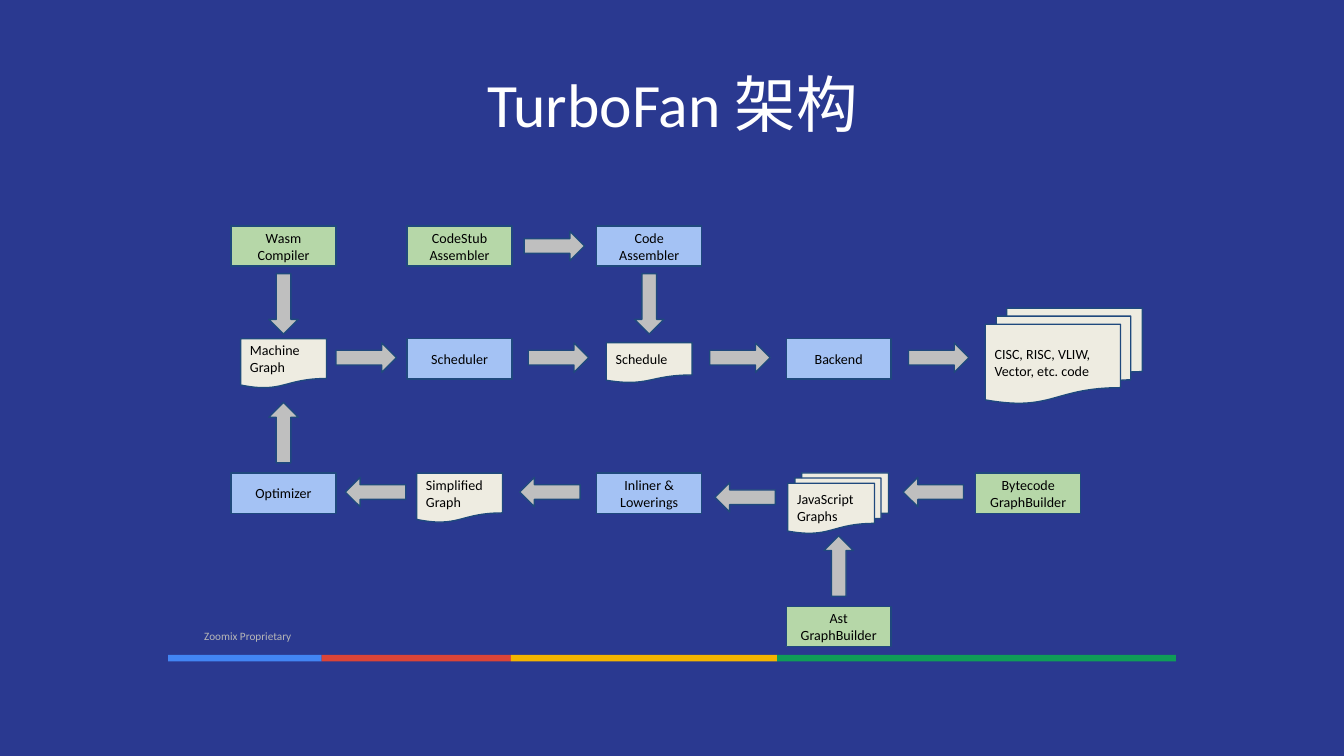
from dataclasses import dataclass

from pptx import Presentation
from pptx.dml.color import RGBColor
from pptx.enum.shapes import MSO_SHAPE as Shape
from pptx.enum.text import MSO_ANCHOR as Anchor, PP_ALIGN as Align
from pptx.util import Pt

NAVY = RGBColor(0x2A, 0x39, 0x90)
WHITE = RGBColor(0xFF, 0xFF, 0xFF)
BLACK = RGBColor(0x00, 0x00, 0x00)
MUTED = RGBColor(0xB7, 0xB7, 0xB7)
OUTLINE = RGBColor(0x1F, 0x49, 0x7D)
ARROW_GREY = RGBColor(0xBF, 0xBF, 0xBF)
STAGE_BLUE = RGBColor(0xA4, 0xC2, 0xF4)
SOURCE_GREEN = RGBColor(0xB6, 0xD7, 0xA8)
PAPER = RGBColor(0xEE, 0xEC, 0xE1)
STRIPE_BLUE = RGBColor(0x42, 0x85, 0xF4)
STRIPE_RED = RGBColor(0xDB, 0x44, 0x37)
STRIPE_YELLOW = RGBColor(0xF4, 0xB4, 0x00)
STRIPE_GREEN = RGBColor(0x0F, 0x9D, 0x58)

FONT = "Calibri"
INSET = 5
STAGE_SIZE = (56.2, 21.6)
ARROW_SIZE = (32.4, 15.8)
RIGHT, DOWN, LEFT, UP = 0, 90, 180, 270

# Centres of the flow grid, measured from the corner of the flow box
COLUMNS = (27.9, 122.2, 223.8, 325.3, 426.8)
ROWS = (10.8, 71.2, 143.2, 214.6)

# column, row, fill, lines of text
STAGES = (
    (0, 0, SOURCE_GREEN, ("Wasm", "Compiler")),
    (1, 0, SOURCE_GREEN, ("CodeStub", "Assembler")),
    (2, 0, STAGE_BLUE, ("Code", "Assembler")),
    (1, 1, STAGE_BLUE, ("Scheduler",)),
    (3, 1, STAGE_BLUE, ("Backend",)),
    (0, 2, STAGE_BLUE, ("Optimizer",)),
    (2, 2, STAGE_BLUE, ("Inliner &", "Lowerings")),
    (4, 2, SOURCE_GREEN, ("Bytecode", "GraphBuilder")),
    (3, 3, SOURCE_GREEN, ("Ast", "GraphBuilder")),
)

# kind, centre x, centre y, width, height, lines of text
DOCUMENTS = (
    (Shape.FLOWCHART_DOCUMENT, COLUMNS[0], 73.8, 46, 26.6, ("Machine", "Graph")),
    (Shape.FLOWCHART_DOCUMENT, COLUMNS[2], 73.4, 46, 21.6, ("Schedule",)),
    (Shape.FLOWCHART_DOCUMENT, COLUMNS[1], 145.8, 46, 26.6, ("Simplified", "Graph")),
    (Shape.FLOWCHART_MULTIDOCUMENT, 325, 148.6, 54, 32.4, ("JavaScript", "Graphs")),
    (Shape.FLOWCHART_MULTIDOCUMENT, 445.9, 69.6, 84.2, 51.1,
     ("CISC, RISC, VLIW,", "Vector, etc. code")),
)

# direction, centre x, centre y
ARROWS = (
    (RIGHT, 173, ROWS[0]),
    *((RIGHT, x, 70.6) for x in (72.2, 175.2, 272.4, 378.9)),
    *((LEFT, x, 142.6) for x in (77.2, 170.6, 376)),
    (LEFT, 275.2, 145.4),
    (DOWN, COLUMNS[0], 41.8),
    (DOWN, COLUMNS[2], 41.8),
    (UP, COLUMNS[0], 110.8),
    (UP, COLUMNS[3], 182.2),
)

# fill, width
STRIPES = ((STRIPE_BLUE, 82.3), (STRIPE_RED, 101.4),
           (STRIPE_YELLOW, 142.6), (STRIPE_GREEN, 213.7))


@dataclass
class Box:
    left: float
    top: float
    width: float
    height: float

    def lengths(self):
        return [Pt(v) for v in (self.left, self.top, self.width, self.height)]

    def centred(self, x, y, width, height):
        """Box of the given size whose centre is x, y from this corner."""
        return Box(self.left + x - width / 2, self.top + y - height / 2, width, height)


def write(shape, lines, size, color, align=Align.LEFT, anchor=Anchor.TOP):
    frame = shape.text_frame
    frame.word_wrap = True
    frame.vertical_anchor = anchor
    frame.margin_left = frame.margin_right = Pt(INSET)
    frame.margin_top = frame.margin_bottom = Pt(INSET)
    for index, line in enumerate(lines):
        para = frame.add_paragraph() if index else frame.paragraphs[0]
        para.alignment = align
        span = para.add_run()
        span.text = line
        span.font.name = FONT
        span.font.size = Pt(size)
        span.font.color.rgb = color


def add_filled(page, kind, box, fill, outlined=True):
    shape = page.shapes.add_shape(kind, *box.lengths())
    shape.shadow.inherit = False
    shape.fill.solid()
    shape.fill.fore_color.rgb = fill
    if outlined:
        shape.line.color.rgb = OUTLINE
        shape.line.width = Pt(0.75)
    else:
        shape.line.fill.background()
    return shape


def add_title(page, box):
    write(page.shapes.add_textbox(*box.lengths()), ["TurboFan 架构"], 33, WHITE, Align.CENTER)


def add_flow(page, box):
    for column, row, fill, lines in STAGES:
        place = box.centred(COLUMNS[column], ROWS[row], *STAGE_SIZE)
        stage = add_filled(page, Shape.FLOWCHART_PROCESS, place, fill)
        write(stage, lines, 7.5, BLACK, Align.CENTER, Anchor.MIDDLE)
    for kind, x, y, width, height, lines in DOCUMENTS:
        document = add_filled(page, kind, box.centred(x, y, width, height), PAPER)
        write(document, lines, 7.5, BLACK, anchor=Anchor.MIDDLE)
    for direction, x, y in ARROWS:
        arrow = add_filled(page, Shape.RIGHT_ARROW, box.centred(x, y, *ARROW_SIZE), ARROW_GREY)
        arrow.rotation = direction


def add_footer(page, box):
    """Ownership note above a striped line along the bottom of the box."""
    note = Box(box.left + 14.4, box.top, 95, 33)
    write(page.shapes.add_textbox(*note.lengths()), ["Zoomix Proprietary"], 6, MUTED)
    thickness = 3.6
    left = box.left
    for fill, width in STRIPES:
        stripe = Box(left, box.top + box.height - thickness, width, thickness)
        add_filled(page, Shape.RECTANGLE, stripe, fill, outlined=False)
        left += width


def main():
    deck = Presentation()
    deck.slide_width, deck.slide_height = Pt(720), Pt(405)
    page = deck.slides.add_slide(deck.slide_layouts[6])
    page.background.fill.solid()
    page.background.fill.fore_color.rgb = NAVY
    add_title(page, Box(108.7, 30.2, 503.3, 59.8))
    add_footer(page, Box(90, 333.4, 540, 21))
    add_flow(page, Box(124, 121, 488, 226))
    deck.save("out.pptx")


if __name__ == "__main__":
    main()
